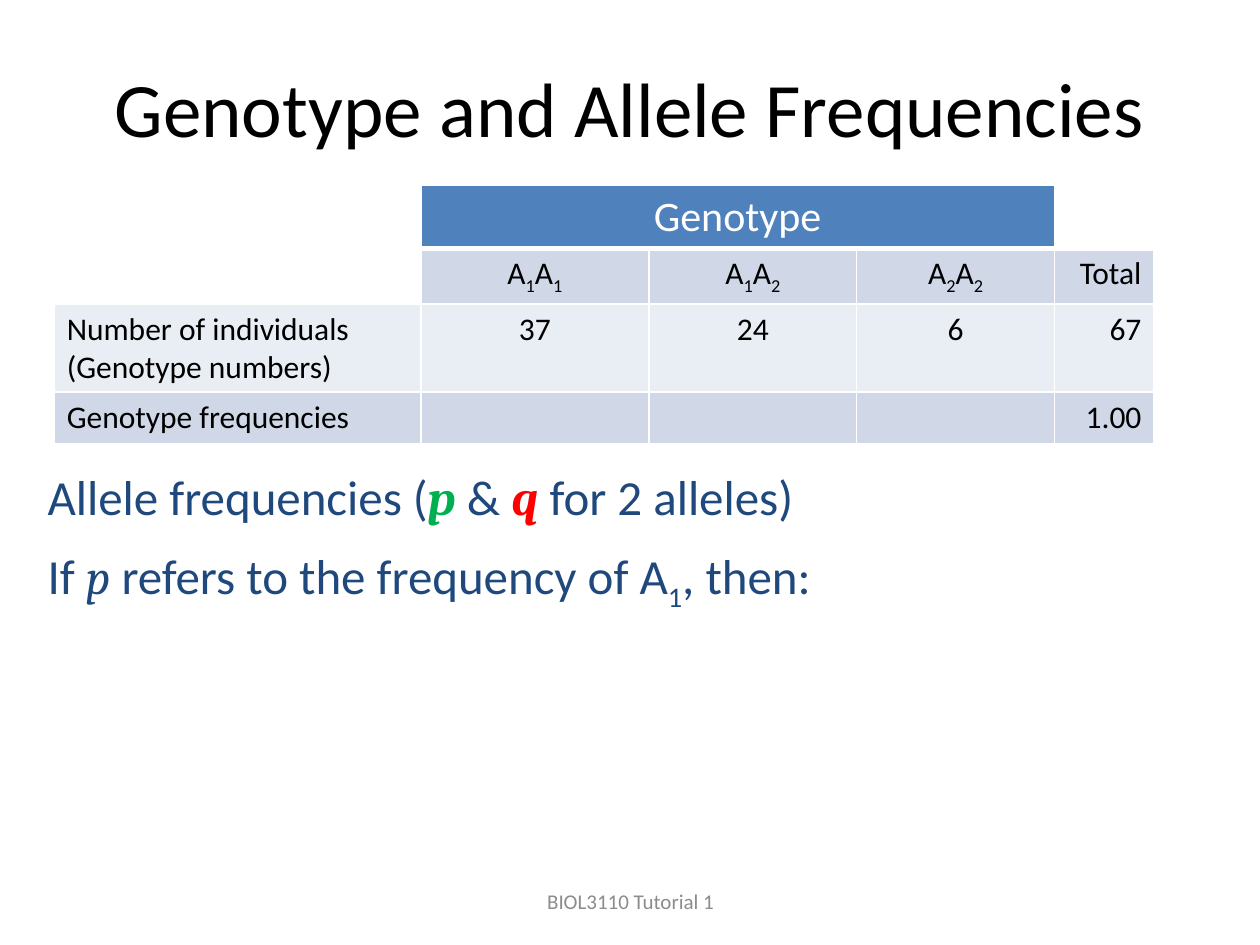
from lxml.etree import SubElement
from pptx import Presentation
from pptx.dml.color import RGBColor
from pptx.enum.text import MSO_ANCHOR, PP_ALIGN
from pptx.oxml import parse_xml
from pptx.oxml.ns import nsdecls, qn
from pptx.util import Inches, Pt

BLACK = RGBColor(0x00, 0x00, 0x00)
WHITE = RGBColor(0xFF, 0xFF, 0xFF)
GREY = RGBColor(0x8C, 0x8C, 0x8C)
NAVY = RGBColor(0x1F, 0x49, 0x7D)
GREEN = RGBColor(0x00, 0xB0, 0x50)
RED = RGBColor(0xFF, 0x00, 0x00)
BLUE = RGBColor(0x4F, 0x81, 0xBD)
BAND = RGBColor(0xD0, 0xD8, 0xE8)
PALE = RGBColor(0xE9, 0xED, 0xF4)

LEFT, MID, RIGHT = PP_ALIGN.LEFT, PP_ALIGN.CENTER, PP_ALIGN.RIGHT


class Deck:
    """Holds the style and the slide; lengths are units of a 100 x 75 grid."""
    font = "Calibri"
    math = "Cambria"

    def __init__(self):
        self.prs = Presentation()
        self.prs.slide_width = Inches(10)
        self.prs.slide_height = Inches(7.5)
        self.unit = self.prs.slide_width / 100
        self.slide = self.prs.slides.add_slide(self.prs.slide_layouts[6])

    def grid(self, *sizes):
        return [round(size * self.unit) for size in sizes]

    def fill(self, para, parts, size, color, align=LEFT):
        """Parts are plain text, or (text, style) with "sub" or font settings."""
        para.alignment = align
        para.font.size = Pt(size)
        para.font.name = self.font
        para.font.color.rgb = color
        for part in [parts] if isinstance(parts, str) else parts:
            text, style = (part, {}) if isinstance(part, str) else part
            if not text:
                continue
            run = para.add_run()
            run.text = text
            if style == "sub":
                run.font._element.set("baseline", "-25000")
            elif style:
                run.font.name = self.math
                run.font.italic = True
                run.font.bold = style.get("bold")
                run.font.color.rgb = style.get("color", color)

    def text(self, place, lines, size, color, align=LEFT,
             anchor=MSO_ANCHOR.TOP, after=0):
        frame = self.slide.shapes.add_textbox(*self.grid(*place)).text_frame
        frame.word_wrap = True
        frame.vertical_anchor = anchor
        for i, parts in enumerate(lines):
            para = frame.add_paragraph() if i else frame.paragraphs[0]
            para.space_after = Pt(after)
            self.fill(para, parts, size, color, align)

    def edge(self, cell, top, bottom):
        """Draw white cell borders, with top and bottom widths in points."""
        props = cell._tc.get_or_add_tcPr()
        for i, (side, width) in enumerate(
                [("L", 1), ("R", 1), ("T", top), ("B", bottom)]):
            line = parse_xml(f'<a:ln{side} {nsdecls("a")} w="{Pt(width)}"/>')
            paint = SubElement(line, qn("a:solidFill"))
            SubElement(paint, qn("a:srgbClr"), val=str(WHITE))
            props.insert(i, line)

    def table(self, left, top, cols, rows, cells, fills):
        place = self.grid(left, top, sum(cols), sum(rows))
        table = self.slide.shapes.add_table(len(rows), len(cols), *place).table
        table.first_row = table.horz_banding = False
        for col, width in zip(table.columns, self.grid(*cols)):
            col.width = width
        for row, height in zip(table.rows, self.grid(*rows)):
            row.height = height
        aligns = [LEFT, MID, MID, MID, RIGHT]
        for r, line in enumerate(cells):
            for c, parts in enumerate(line):
                cell = table.cell(r, c)
                cell.fill.solid()
                cell.fill.fore_color.rgb = fills[r][c]
                self.edge(cell, 3 if r == 1 else 1, 3 if r == 0 else 1)
                size, color = (18, BLACK) if r else (24, WHITE)
                align = aligns[c] if r else MID
                self.fill(cell.text_frame.paragraphs[0], parts, size, color,
                          align)
        table.cell(0, 1).merge(table.cell(0, 3))


def pair(first, second):
    return ["A", (first, "sub"), "A", (second, "sub")]


def main():
    deck = Deck()

    # Allele frequency statements
    deck.text((2.8, 36.5, 93.7, 31), [
        ["Allele frequencies (", ("p", {"bold": True, "color": GREEN}), " & ",
         ("q", {"bold": True, "color": RED}), " for 2 alleles)"],
        ["If ", ("p", {"color": NAVY}), " refers to the frequency of A",
         ("1", "sub"), ", then:"],
    ], 28, NAVY, after=12)

    # Genotype table
    deck.table(
        4.3, 14.7, [29.1, 18.1, 16.5, 15.7, 7.9], [5, 4.3, 7, 4.1],
        [["", "Genotype", "", "", ""],
         ["", pair("1", "1"), pair("1", "2"), pair("2", "2"), "Total"],
         ["Number of individuals (Genotype numbers)", "37", "24", "6", "67"],
         ["Genotype frequencies", "", "", "", "1.00"]],
        [[WHITE] + [BLUE] * 3 + [WHITE], [WHITE] + [BAND] * 4,
         [PALE] * 5, [BAND] * 5])

    # Title and footer
    deck.text((5, 2.2, 90, 12.5), ["Genotype and Allele Frequencies"], 44,
              BLACK, MID, MSO_ANCHOR.MIDDLE)
    deck.text((34.2, 69.5, 31.7, 4), ["BIOL3110 Tutorial 1"], 12,
              GREY, MID, MSO_ANCHOR.MIDDLE)

    deck.prs.save("out.pptx")


if __name__ == "__main__":
    main()
